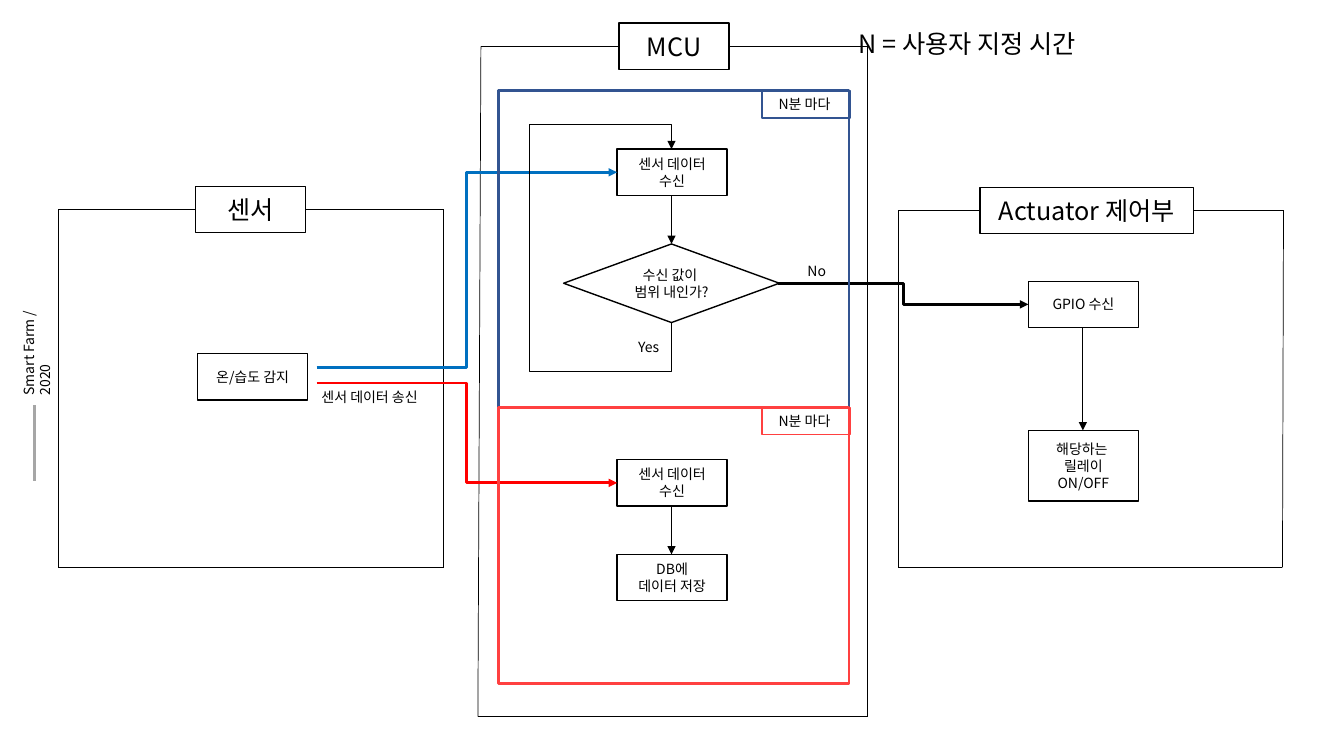
from itertools import pairwise

from pptx import Presentation
from pptx import util as u
from pptx.dml.color import RGBColor
from pptx.enum import shapes, text
from pptx.oxml import ns, xmlchemy

FONT = "Noto Sans CJK KR"
BLACK, BLUE, RED = "000000", "0070C0", "FF0000"
GREY, NAVY, CORAL = "A6A6A6", "325491", "FF4040"
BOX_W, BOX_H = 1.09, 0.46
STEP_X, GPIO_X = 6.12, 10.2


def color(value):
    return RGBColor.from_string(value)


class Diagram:
    """Holds the style and the current page."""

    def __init__(self, page):
        self.shapes = page.shapes

    def fill_text(self, box, content, size, align=None):
        box.text_frame.text = content
        for para in box.text_frame.paragraphs:
            para.alignment = align
            para.font.size = u.Pt(size)
            para.font.color.rgb = color(BLACK)
            para.font.name = FONT
            east_asian = xmlchemy.OxmlElement("a:ea")
            east_asian.set("typeface", FONT)
            para._p.pPr.find(ns.qn("a:defRPr")).append(east_asian)

    def stroke(self, item, line_color, width, arrow=False):
        item.line.color.rgb = color(line_color)
        item.line.width = u.Pt(width)
        if arrow:
            tail = xmlchemy.OxmlElement("a:tailEnd")
            tail.set("type", "triangle")
            item.line._get_or_add_ln().append(tail)

    def box(self, x, y, w=BOX_W, h=BOX_H, content="", size=10,
            line_color=BLACK, width=1, kind=shapes.MSO_SHAPE.RECTANGLE):
        box = self.shapes.add_shape(kind, *map(u.Inches, (x, y, w, h)))
        box.shadow.inherit = False
        box.fill.background()
        self.stroke(box, line_color, width)
        if content:
            box.text_frame.vertical_anchor = text.MSO_ANCHOR.MIDDLE
            self.fill_text(box, content, size, text.PP_ALIGN.CENTER)

    def label(self, x, y, w, h, content, size=10, wrap=False):
        label = self.shapes.add_textbox(*map(u.Inches, (x, y, w, h)))
        label.text_frame.word_wrap = wrap
        label.text_frame.auto_size = text.MSO_AUTO_SIZE.SHAPE_TO_FIT_TEXT
        self.fill_text(label, content, size)
        return label

    def connect(self, start, end, line_color=BLACK, width=0.5, arrow=False,
                kind=shapes.MSO_CONNECTOR.STRAIGHT):
        line = self.shapes.add_connector(kind, *map(u.Inches, (*start, *end)))
        self.stroke(line, line_color, width, arrow)
        line._element.spPr.append(xmlchemy.OxmlElement("a:effectLst"))

    def elbow(self, start, end, line_color):
        self.connect(start, end, line_color, 2, True,
                     shapes.MSO_CONNECTOR.ELBOW)

    def frame(self, *corners):
        for start, end in pairwise(corners):
            self.connect(start, end)

    def loop(self, start, *points):
        builder = self.shapes.build_freeform(*map(u.Inches, start))
        builder.add_line_segments(
            [tuple(map(u.Inches, point)) for point in points], close=False)
        loop = builder.convert_to_shape()
        loop.shadow.inherit = False
        loop.fill.background()
        self.stroke(loop, BLACK, 0.5, arrow=True)


def main():
    deck = Presentation()
    deck.slide_width, deck.slide_height = u.Inches(13.33), u.Inches(7.5)
    diagram = Diagram(deck.slides.add_slide(deck.slide_layouts[6]))

    # Unit frames, open where the heading box sits
    diagram.frame((3.03, 2.08), (4.4, 2.08), (4.4, 5.63),
                  (0.58, 5.63), (0.58, 2.08), (1.94, 2.08))
    diagram.frame((7.23, 0.46), (8.6, 0.46), (8.6, 7.11),
                  (4.74, 7.11), (4.77, 0.46), (6.14, 0.46))
    diagram.frame((11.84, 2.09), (12.73, 2.09), (12.72, 5.63),
                  (8.91, 5.63), (8.91, 2.09), (9.72, 2.09))
    for x, y, w, name in ((1.94, 1.85, BOX_W, "센서"),
                          (6.14, 0.23, BOX_W, "MCU"),
                          (9.72, 1.86, 2.12, "Actuator 제어부")):
        diagram.box(x, y, w, content=name, size=18)

    # Process steps
    for x, y, h, content in (
            (1.96, 3.51, BOX_H, "온/습도 감지"),
            (STEP_X, 1.48, BOX_H, "센서 데이터 수신"),
            (STEP_X, 4.56, BOX_H, "센서 데이터 수신"),
            (STEP_X, 5.5, BOX_H, "DB에\v데이터 저장"),
            (GPIO_X, 2.79, BOX_H, "GPIO 수신"),
            (GPIO_X, 4.27, 0.7, "해당하는 \n릴레이\nON/OFF")):
        diagram.box(x, y, h=h, content=content)
    diagram.box(5.59, 2.42, 2.14, 0.78, "수신 값이 \n범위 내인가?",
                kind=shapes.MSO_SHAPE.DIAMOND)

    # Flow arrows
    for x, top, bottom in ((6.66, 1.94, 2.42), (6.66, 5.02, 5.5),
                           (10.74, 3.25, 4.27)):
        diagram.connect((x, top), (x, bottom), arrow=True)
    diagram.elbow((3.14, 3.65), (STEP_X, 1.71), BLUE)
    diagram.elbow((3.14, 3.8), (STEP_X, 4.79), RED)
    diagram.elbow((7.72, 2.81), (GPIO_X, 3.02), BLACK)
    diagram.loop((6.66, 3.2), (6.66, 3.68), (5.25, 3.68),
                 (5.25, 1.23), (6.66, 1.23), (6.66, 1.48))

    # Timed regions of the MCU
    for top, height, line_color in ((0.9, 3.14, NAVY), (4.04, 2.74, CORAL)):
        diagram.box(4.94, top, 3.48, height, line_color=line_color, width=2)
        diagram.box(7.56, top, 0.87, 0.27, "N분 마다 ", line_color=line_color)

    # Labels
    diagram.label(3.09, 3.81, 1.28, 0.27, "센서 데이터 송신")
    diagram.label(6.23, 3.31, 0.42, 0.27, "Yes")
    diagram.label(7.91, 2.56, 0.39, 0.27, "No")
    diagram.label(8.42, 0.23, 2.86, 0.4, "N = 사용자 지정 시간", 18, wrap=True)

    # Side caption
    caption = diagram.label(0.15, 2.66, 0.37, 1.36, "Smart Farm / 2020",
                            wrap=True)
    caption.rotation = 180
    caption.text_frame._txBody.bodyPr.set("vert", "eaVert")
    diagram.connect((0.34, 4.02), (0.34, 4.77), GREY, 2)

    deck.save("out.pptx")


if __name__ == "__main__":
    main()
